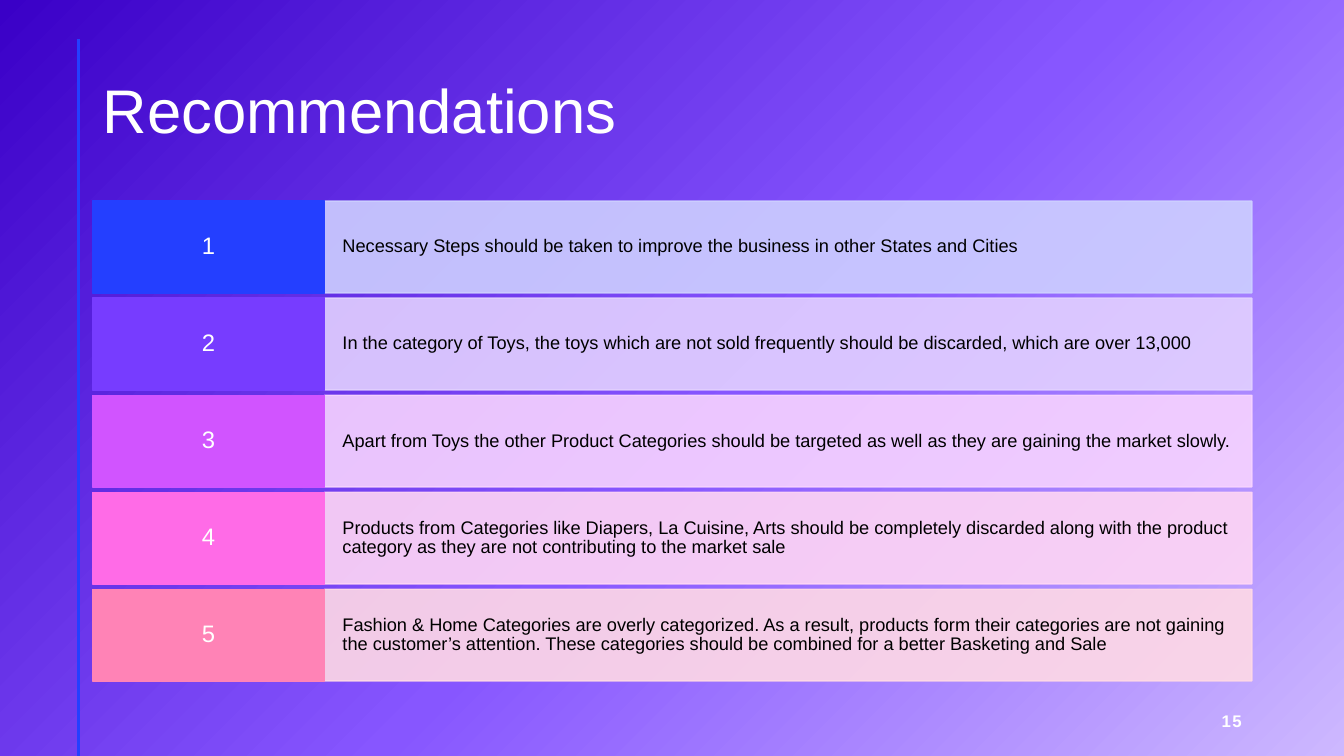
from copy import deepcopy
from lxml.etree import SubElement
from pptx import Presentation
from pptx.dml.color import RGBColor as RGB
from pptx.enum.shapes import MSO_CONNECTOR as LINE, MSO_SHAPE as SHAPE
from pptx.enum.text import MSO_ANCHOR as ANCHOR, PP_ALIGN as ALIGN
from pptx.oxml.ns import qn
from pptx.util import Pt

HUES = {"dark": "3A00C7", "mid": "8756FF", "pale": "CDB8FF",
        "rule": "243FFF", "white": "FFFFFF", "black": "000000"}
STEPS = [
    ("243FFF", "CDCFFF", "Necessary Steps should be taken to improve the business in other States and Cities"),
    ("773CFF", "E2D0FF", "In the category of Toys, the toys which are not sold frequently should be "
                         "discarded, which are over 13,000"),
    ("D154FF", "F7D3FF", "Apart from Toys the other Product Categories should be targeted as well as "
                         "they are gaining the market slowly."),
    ("FF6BE7", "FFD6F5", "Products from Categories like Diapers, La Cuisine, Arts should be completely "
                         "discarded along with the product category as they are not contributing to "
                         "the market sale"),
    ("FF83B6", "FFD9E6", "Fashion & Home Categories are overly categorized. As a result, products form "
                         "their categories are not gaining the customer’s attention. These categories "
                         "should be combined for a better Basketing and Sale"),
]
LEFT, TOP, PITCH, HIGH = 66.24, 143.7, 69.3, 65.5
TAG, WIDE = 165.6, 662.4


def write(shape, text, size, hue, align):
    frame = shape.text_frame
    frame.word_wrap = True
    frame.vertical_anchor = ANCHOR.MIDDLE
    para = frame.paragraphs[0]
    para.text = text
    para.alignment = align
    para.line_spacing = 0.9
    font = para.font
    font.name, font.size = "Arial", Pt(size)
    font.color.rgb = RGB.from_string(HUES[hue])
    return para


def panel(left, top, width, hue, pad):
    box = slide.shapes.add_shape(SHAPE.RECTANGLE, Pt(left), Pt(top), Pt(width), Pt(HIGH))
    box.shadow.inherit = False
    box.fill.solid()
    box.fill.fore_color.rgb = box.line.color.rgb = RGB.from_string(hue)
    box.line.width = Pt(1)
    frame = box.text_frame
    frame.margin_left = frame.margin_right = Pt(pad)
    return box


deck = Presentation()
deck.slide_width, deck.slide_height = Pt(960), Pt(540)
slide = deck.slides.add_slide(deck.slide_layouts[5])

# Diagonal background, dark at top left
fill = slide.background.fill
fill.gradient()
fill.gradient_angle = 315
stops = slide._element.find(".//" + qn("a:gsLst"))
stops.insert(1, deepcopy(stops[0]))
for stop, hue, place in zip(fill.gradient_stops, ("dark", "mid", "pale"), (0, 0.54, 1)):
    stop.color.rgb = RGB.from_string(HUES[hue])
    stop.position = place

# Upright rule
rule = slide.shapes.add_connector(LINE.STRAIGHT, Pt(56), Pt(28), Pt(56), Pt(540))
rule.line.color.rgb = RGB.from_string(HUES["rule"])
rule.line.width = Pt(2)
SubElement(rule._element.spPr, qn("a:effectLst"))

# Title
title = slide.shapes.title
title.left, title.top, title.width, title.height = Pt(LEFT), Pt(28.8), Pt(828), Pt(104.4)
write(title, "Recommendations", 44, "white", ALIGN.LEFT)

# Numbered steps
for i, (deep, light, text) in enumerate(STEPS):
    top = TOP + i * PITCH
    body = panel(LEFT + TAG, top, WIDE, light, 12.8)
    for tone in body._element.spPr.iter(qn("a:srgbClr")):
        SubElement(tone, qn("a:alpha"), val="90000")
    write(body, text, 13, "black", ALIGN.LEFT)
    tag = panel(LEFT, top, TAG, deep, 8.6)
    write(tag, str(i + 1), 17, "white", ALIGN.CENTER)

# Page number
page = slide.shapes.add_textbox(Pt(678), Pt(500.4), Pt(216), Pt(28.8))
para = write(page, "15", 12, "white", ALIGN.RIGHT)
para.line_spacing = 1.0
para.font.bold = True
para.runs[0].font._element.set("spc", "100")

deck.save("out.pptx")
